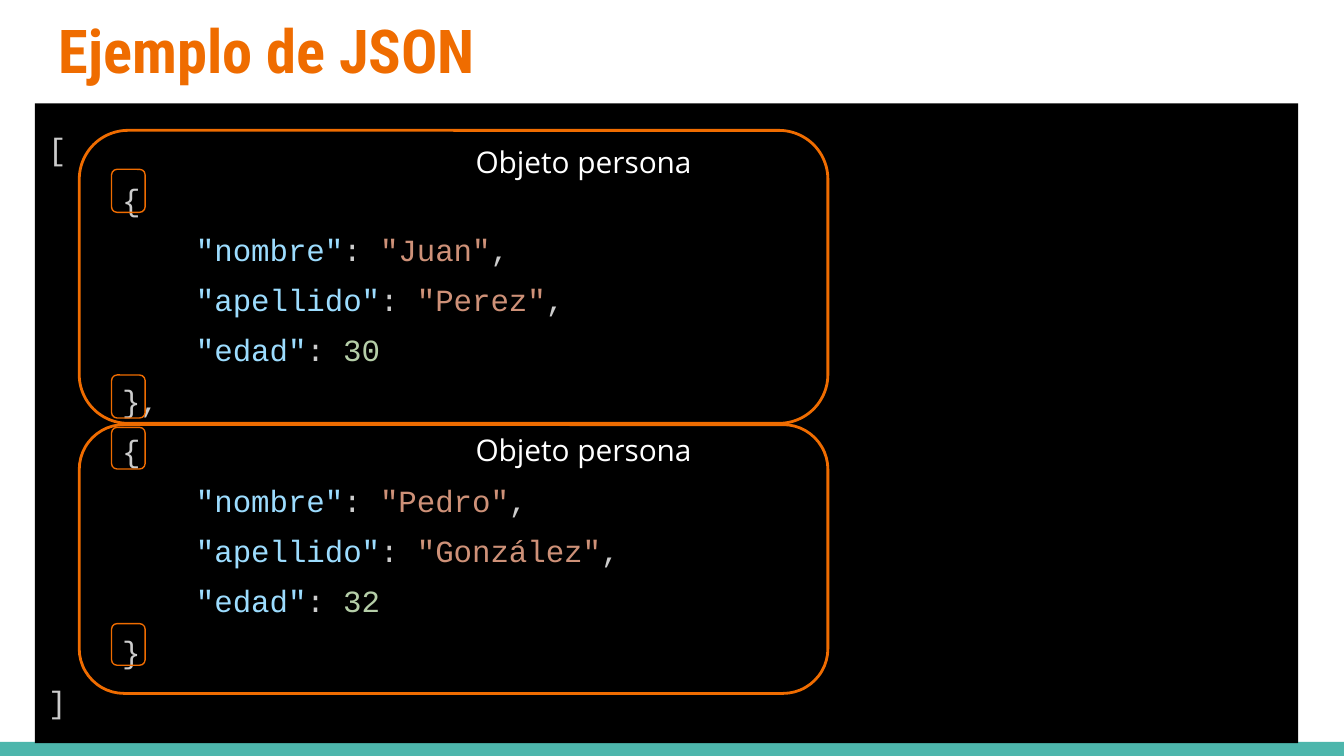
from pptx import Presentation
from pptx.dml.color import RGBColor
from pptx.enum.shapes import MSO_SHAPE
from pptx.enum.text import MSO_ANCHOR, PP_ALIGN
from pptx.util import Inches, Pt

ORANGE = "EF6C00"
GREY = "CCCCCC"
KEY = "9CDCFE"
WORD = "CE9178"
NUMBER = "B5CEA8"
STEP = 0.55


def paint(code):
    return RGBColor.from_string(code)


def add_run(para, text, size=16.5, font="Courier New", color=GREY, bold=False):
    run = para.add_run()
    run.text = text
    run.font.size = Pt(size)
    run.font.name = font
    run.font.bold = bold
    run.font.color.rgb = paint(color)


def add_box(slide, box, kind=MSO_SHAPE.RECTANGLE, fill=None, line=None):
    shape = slide.shapes.add_shape(kind, *map(Inches, box))
    shape.shadow.inherit = False
    if fill:
        shape.fill.solid()
        shape.fill.fore_color.rgb = paint(fill)
    else:
        shape.fill.background()
    if line:
        shape.line.color.rgb = paint(ORANGE)
        shape.line.width = Pt(line)
    else:
        shape.line.fill.background()
    return shape


def set_frame(shape):
    frame = shape.text_frame
    frame.word_wrap = True
    frame.vertical_anchor = MSO_ANCHOR.TOP
    frame.margin_left = frame.margin_right = Inches(0.1)
    frame.margin_top = frame.margin_bottom = Inches(0.1)
    return frame


def add_label(slide, box, text, **style):
    frame = set_frame(slide.shapes.add_textbox(*map(Inches, box)))
    add_run(frame.paragraphs[0], text, **style)


def list_lines(people):
    lines = [(0, [("[", GREY)])]
    for order, (name, last, age) in enumerate(people, 1):
        comma = "," if order < len(people) else ""
        lines.append((1, [("{", GREY)]))
        for key, value, color, end in (
            ("nombre", f'"{name}"', WORD, ","),
            ("apellido", f'"{last}"', WORD, ","),
            ("edad", str(age), NUMBER, ""),
        ):
            parts = [(f'"{key}"', KEY), (": ", GREY), (value, color)]
            if end:
                parts.append((end, GREY))
            lines.append((2, parts))
        lines.append((1, [("}" + comma, GREY)]))
    return lines + [(0, [("]", GREY)])]


def add_code(slide, box, people):
    frame = set_frame(add_box(slide, box, fill="000000"))
    for row, (level, parts) in enumerate(list_lines(people)):
        para = frame.add_paragraph() if row else frame.paragraphs[0]
        para.alignment = PP_ALIGN.LEFT
        para.line_spacing = 1.36
        para._p.get_or_add_pPr().set("marL", str(Inches(level * STEP)))
        for text, color in parts:
            add_run(para, text, color=color)


def add_object(slide, box, label, braces, tall):
    left, top, width, height = box
    add_box(slide, box, MSO_SHAPE.ROUNDED_RECTANGLE, line=1.5)
    add_label(slide, (left + 2.85, top + label, 2.31, 0.44),
              "Objeto persona", size=16, font="Open Sans", color="FFFFFF")
    for gap in braces:
        add_box(slide, (left + 0.24, top + gap, 0.25, tall),
                MSO_SHAPE.ROUNDED_RECTANGLE, line=0.75)


def main():
    deck = Presentation()
    deck.slide_width = Inches(10)
    deck.slide_height = deck.slide_width * 9 // 16
    slide = deck.slides.add_slide(deck.slide_layouts[6])
    add_box(slide, (0, 5.52, 10, 0.11), fill="4DB6AC")
    add_label(slide, (0.34, 0, 9.32, 0.77), "Ejemplo de JSON",
              size=32.4, font="Roboto Condensed", color=ORANGE, bold=True)
    people = [("Juan", "Perez", 30), ("Pedro", "González", 32)]
    add_code(slide, (0.26, 0.77, 9.4, 4.76), people)
    add_object(slide, (0.59, 0.97, 5.57, 2.18), 0, (0.29, 1.82), 0.32)
    add_object(slide, (0.59, 3.16, 5.57, 2), -0.05, (0.02, 1.48), 0.31)
    deck.save("out.pptx")


if __name__ == "__main__":
    main()
